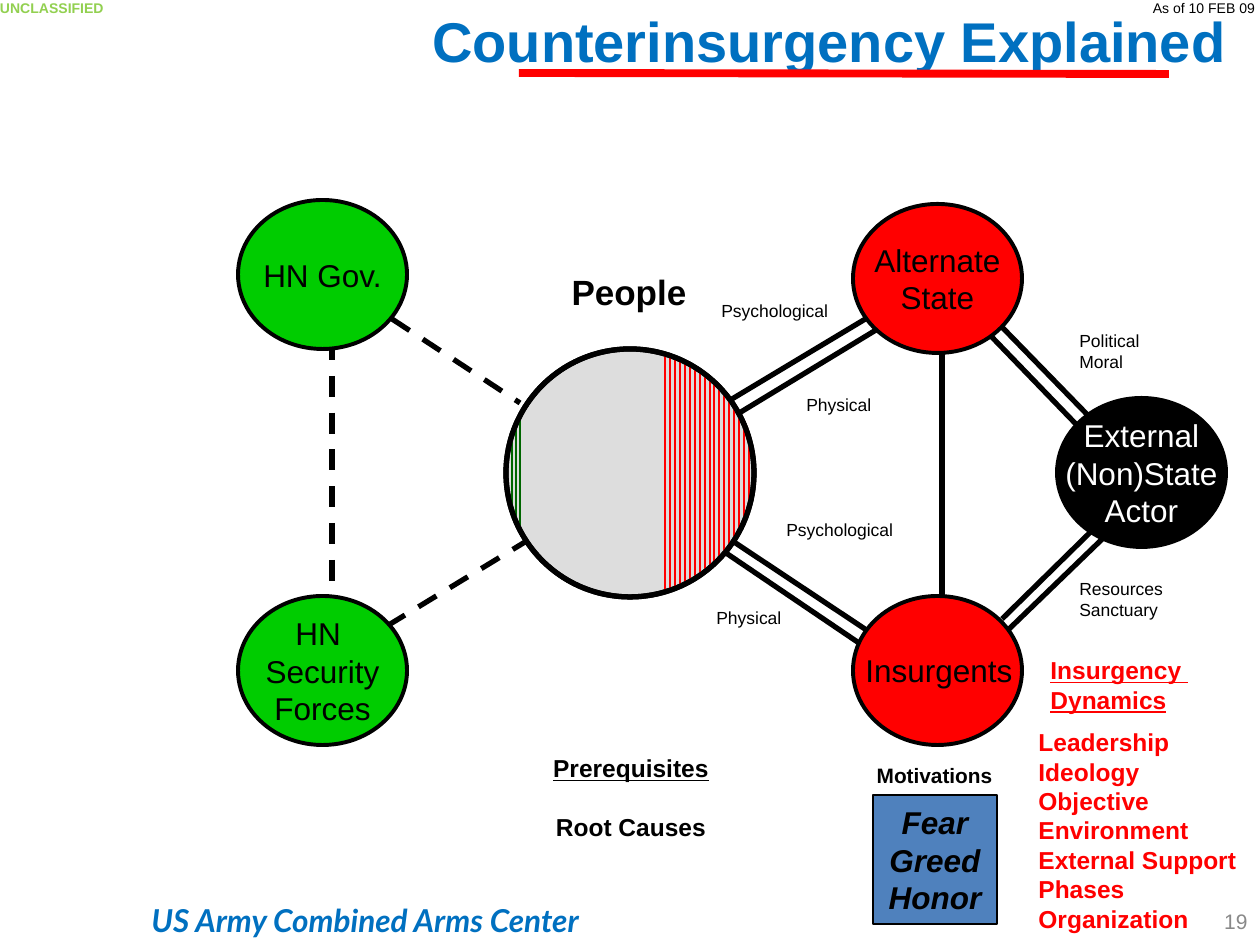
from math import sqrt
from pptx import Presentation
from pptx.dml.color import RGBColor as Rgb
from pptx.enum.dml import MSO_LINE as Dash
from pptx.enum.shapes import MSO_CONNECTOR as Conn, MSO_SHAPE as Form
from pptx.enum.text import MSO_ANCHOR as Anchor, MSO_AUTO_SIZE as Fit, PP_ALIGN as Align
from pptx.oxml.ns import qn
from pptx.util import Emu, Pt

HUES = {
    "black": "000000", "white": "FFFFFF", "red": "FF0000", "green": "00CC00",
    "dark": "006600", "blue": "0070C0", "lime": "92D050", "gray": "DDDDDD",
    "dim": "898989", "steel": "4F81BD",
}
SIDES = {"l": Align.LEFT, "c": Align.CENTER, "r": Align.RIGHT}

TITLE = ("Counterinsurgency Explained", (399, 0, 861, 81))
RULE = (519, 73, 1169, 74)

DASHED = [(392, 319, 520, 403), (387, 626, 525, 542), (332, 339, 332, 606)]
LINKS = [
    (872, 315, 732, 399), (876, 330, 736, 415),
    (725, 536, 868, 631), (726, 553, 859, 643),
    (1124, 518, 1008, 630), (1116, 507, 1002, 619),
    (1100, 449, 988, 333), (1113, 441, 1000, 325),
]
SPINE = (942, 329, 942, 616)

NODE = (169, 149)
NODES = [
    (238, 200, "green", "black", ["HN Gov."]),
    (238, 596, "green", "black", ["HN ", "Security", "Forces"]),
    (853, 596, "red", "black", []),
    (853, 204, "red", "black", ["Alternate", "State"]),
    (1057, 398, "black", "white", ["External", "(Non)State", "Actor"]),
]

HUB, RAD = (630, 473), 124
BANDS = [("dark", 512, 4, 3), ("red", 665, 4.95, 18)]

MOTIVES = ((873, 795, 124, 129), ["Fear", "Greed", "Honor"])
CAPTION = ((853, 759, 163, 40), ["Motivations"])

NOTES = [
    ((709, 294, 140, 34), ["Psychological"]),
    ((794, 388, 98, 34), ["Physical"]),
    ((774, 513, 140, 34), ["Psychological"]),
    ((704, 601, 98, 34), ["Physical"]),
    ((1067, 324, 93, 55), ["Political", "Moral"]),
    ((1067, 572, 117, 55), ["Resources", "Sanctuary"]),
]
LABELS = [
    ((549, 264, 160, 55), ["People"], 20, "black", "c", "b"),
    ((853, 645, 180, 50), ["Insurgents"], 18, "black", "l", ""),
    ((1038, 649, 172, 72), ["Insurgency ", "Dynamics"], 14, "red", "l", "bu"),
    ((966, 902, 294, 36), ["19"], 12, "dim", "r", ""),
]
TAGS = [
    ((0, 0, 115, 16), ["UNCLASSIFIED"], 8, "lime", "l", "b"),
    ((1144, 0, 120, 16), ["As of 10 FEB 09"], 8, "black", "c", ""),
]
CENTER = ((139, 895, 500, 50), ["US Army Combined Arms Center"])
ROOTS = ((531, 747, 200, 131), ["Prerequisites"])
CAUSE = "Root Causes"
TRAITS = ["Leadership", "Ideology", "Objective", "Environment",
          "External Support", "Phases", "Organization"]


def px(n):
    return Emu(round(n * 914400 / 126))


def hue(name):
    return Rgb.from_string(HUES[name])


def put(para, text, size, tone, style="", font="Arial"):
    run = para.add_run()
    run.text = text
    face = run.font
    face.name, face.size = font, Pt(size)
    face.bold, face.italic, face.underline = ("b" in style, "i" in style, "u" in style)
    face.color.rgb = hue(tone)


def fill(frame, rows, size, tone, side, style="", font="Arial"):
    for i, row in enumerate(rows):
        para = frame.add_paragraph() if i else frame.paragraphs[0]
        para.alignment = SIDES[side]
        put(para, row, size, tone, style, font)


def label(box, rows, size, tone, side="l", style="", font="Arial", pad=True):
    frame = slide.shapes.add_textbox(*map(px, box)).text_frame
    frame.word_wrap = False
    if not pad:
        frame.margin_left = frame.margin_right = 0
        frame.margin_top = frame.margin_bottom = 0
    fill(frame, rows, size, tone, side, style, font)
    return frame


def line(ends, tone, width, dash=False):
    rod = slide.shapes.add_connector(Conn.STRAIGHT, *map(px, ends))
    rod.line.color.rgb, rod.line.width = hue(tone), Pt(width)
    if dash:
        rod.line.dash_style = Dash.DASH
    rod._element.spPr.append(rod._element.makeelement(qn("a:effectLst"), {}))


def shape(form, box, tone, width):
    item = slide.shapes.add_shape(form, *map(px, box))
    item.shadow.inherit = False
    if tone:
        item.fill.solid()
        item.fill.fore_color.rgb = hue(tone)
    else:
        item.fill.background()
    if width:
        item.line.color.rgb, item.line.width = hue("black"), Pt(width)
    else:
        item.line.fill.background()
    frame = item.text_frame
    frame.word_wrap, frame.vertical_anchor = False, Anchor.MIDDLE
    return frame


deck = Presentation()
deck.slide_width, deck.slide_height = px(1260), px(945)
slide = deck.slides.add_slide(deck.slide_layouts[5])

head = slide.shapes.title
head.left, head.top, head.width, head.height = map(px, TITLE[1])
frame = head.text_frame
frame.word_wrap, frame.auto_size, frame.vertical_anchor = True, Fit.NONE, Anchor.TOP
fill(frame, [TITLE[0]], 32, "blue", "c", "b")
line(RULE, "red", 4.5)

for ends in DASHED:
    line(ends, "black", 3, True)
for ends in LINKS:
    line(ends, "black", 3)
line(SPINE, "black", 3.5)

mid, level = HUB
ring = (mid - RAD, level - RAD, 2 * RAD, 2 * RAD)
shape(Form.OVAL, ring, "gray", 3)
for tone, start, step, count in BANDS:
    for i in range(count):
        x = start + i * step
        half = sqrt(RAD ** 2 - (x - mid) ** 2)
        line((x, level - half, x, level + half), tone, 1.13)
shape(Form.OVAL, ring, None, 3)

for x, y, tone, ink, rows in NODES:
    fill(shape(Form.OVAL, (x, y, *NODE), tone, 2.25), rows, 18, ink, "c")
box, rows = MOTIVES
fill(shape(Form.RECTANGLE, box, "steel", 0.75), rows, 18, "black", "c", "bi")

box, rows = CAPTION
frame = shape(Form.LINE_CALLOUT_2, box, None, 0)
frame.word_wrap, frame.vertical_anchor = True, Anchor.TOP
fill(frame, rows, 11.9, "black", "c", "b")
frame.paragraphs[0].line_spacing = 0.9

for box, rows in NOTES:
    label(box, rows, 10, "black")
for item in LABELS:
    label(*item)
for item in TAGS:
    label(*item, pad=False)
label(*CENTER, 18, "blue", "l", "bi", "Lato")

para = label(*ROOTS, 14, "black", "c", "bu").add_paragraph()
para.alignment, para.space_before = Align.CENTER, Pt(17)
put(para, CAUSE, 14, "black", "b")

for i, trait in enumerate(TRAITS):
    label((1026, 721 + 29.4 * i, 230, 42), [trait], 14, "red", "l", "b")

deck.save("out.pptx")
